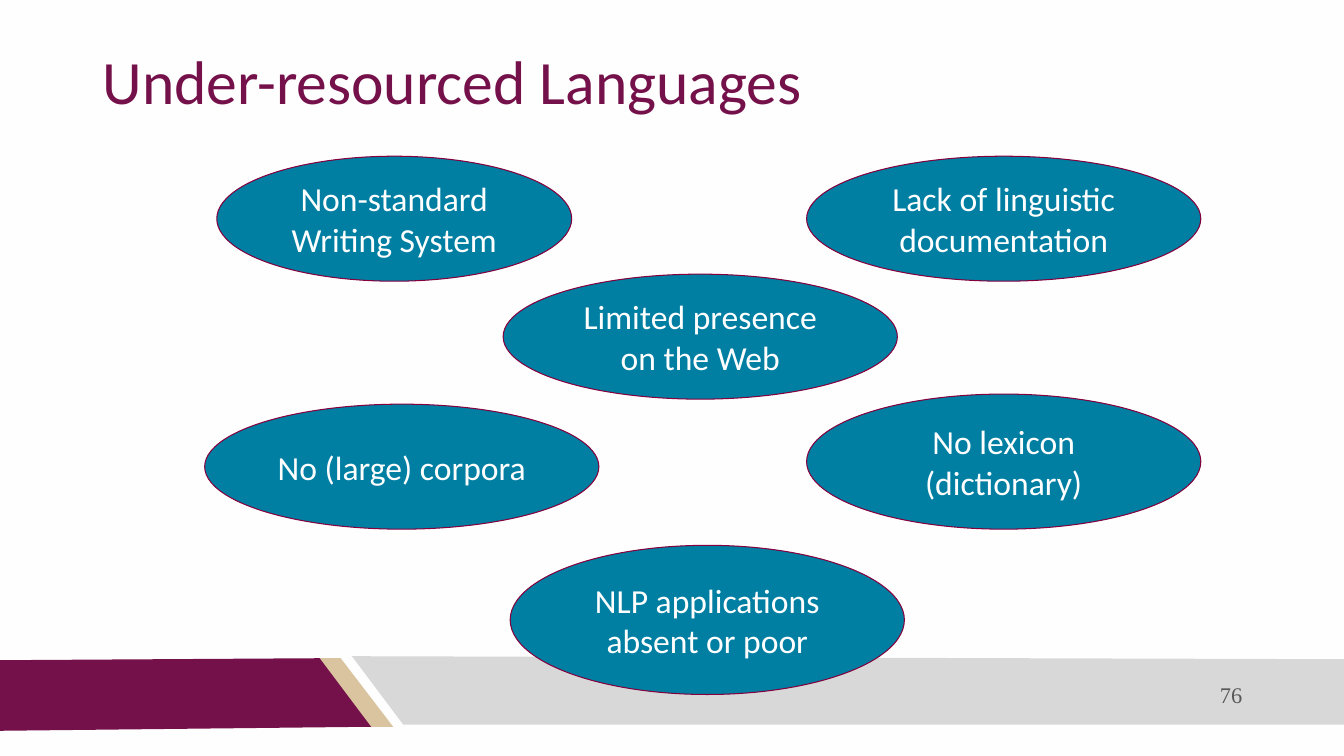
from pptx import Presentation
from pptx.dml.color import RGBColor
from pptx.enum.shapes import MSO_SHAPE
from pptx.enum.text import MSO_ANCHOR, PP_ALIGN
from pptx.util import Pt

PX = 9144
OVAL = MSO_SHAPE.OVAL
MIDDLE = MSO_ANCHOR.MIDDLE
LEFT, CENTER, RIGHT = PP_ALIGN.LEFT, PP_ALIGN.CENTER, PP_ALIGN.RIGHT
PAPER = RGBColor(0xFF, 0xFE, 0xFE)
MAROON = RGBColor(0x75, 0x11, 0x4A)
SAND = RGBColor(0xD9, 0xC4, 0x9F)
SILVER = RGBColor(0xD8, 0xD8, 0xD8)
TEAL = RGBColor(0x00, 0x7F, 0xA3)
WINE = RGBColor(0x83, 0x00, 0x3D)
WHITE = RGBColor(0xFF, 0xFF, 0xFF)
GRAY = RGBColor(0x59, 0x59, 0x59)


def write(shape, words, size, font, color, align):
    frame = shape.text_frame
    margins = {f"margin_{side}": 10 * PX for side in ("left", "top", "right", "bottom")}
    for key, value in {"word_wrap": True, "vertical_anchor": MIDDLE, **margins}.items():
        setattr(frame, key, value)
    paragraph = frame.paragraphs[0]
    paragraph.alignment = align
    run = paragraph.add_run()
    run.text = words
    for key, value in {"size": Pt(size), "name": font}.items():
        setattr(run.font, key, value)
    run.font.color.rgb = color
    return paragraph


deck = Presentation()
deck.slide_width, deck.slide_height = 1333 * PX, 750 * PX
slide = deck.slides.add_slide(deck.slide_layouts[6])
slide.background.fill.solid()
slide.background.fill.fore_color.rgb = PAPER
shapes = slide.shapes

footer_bands = [
    (SAND, [(316, 653), (338, 653), (390, 721), (367, 721)]),
    (MAROON, [(-1, 655), (317, 653), (368, 721), (-1, 725)]),
    (SILVER, [(1337, 719), (400, 719), (349, 651), (1334, 654)]),
]
for color, corners in footer_bands:
    outline = shapes.build_freeform(*corners[0], scale=PX)
    outline.add_line_segments(corners[1:], close=True)
    band = outline.convert_to_shape()
    band.shadow.inherit = False
    band.fill.solid()
    band.fill.fore_color.rgb = color
    band.line.fill.background()

title = shapes.add_textbox(92 * PX, 40 * PX, 1150 * PX, 87 * PX)
write(title, "Under-resourced Languages", 44, "Calibri", MAROON, LEFT).line_spacing = 0.9
page_number = shapes.add_textbox(792 * PX, 669 * PX, 450 * PX, 40 * PX)
write(page_number, "76", 16, "Times New Roman", GRAY, RIGHT)

challenges = [
    ("Non-standard Writing System", 215, 155, 352, 124),
    ("Limited presence on the Web", 499, 272, 391, 124),
    ("Lack of linguistic documentation", 800, 155, 391, 124),
    ("No (large) corpora", 203, 401, 391, 124),
    ("No lexicon (dictionary)", 800, 391, 391, 134),
    ("NLP applications absent or poor", 506, 541, 391, 148),
]
for challenge, *bounds in challenges:
    bubble = shapes.add_shape(OVAL, *(length * PX for length in bounds))
    bubble.shadow.inherit = False
    bubble.fill.solid()
    bubble.fill.fore_color.rgb = TEAL
    bubble.line.color.rgb = WINE
    bubble.line.width = Pt(0.75)
    write(bubble, challenge, 24, "Calibri", WHITE, CENTER)

deck.save("out.pptx")
